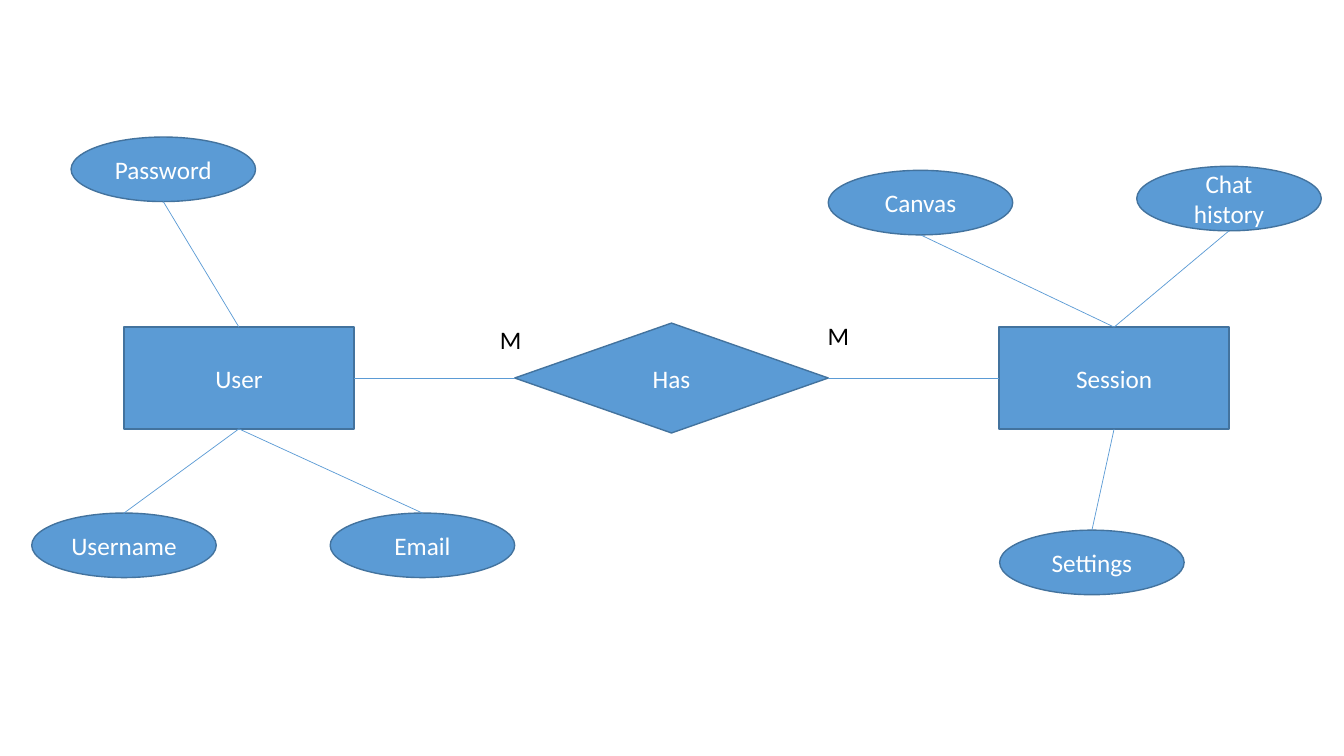
import pptx
import pptx.util
import pptx.dml.color
import pptx.enum.shapes
import pptx.enum.text
import pptx.oxml

Inches, Pt = pptx.util.Inches, pptx.util.Pt
SHAPE = pptx.enum.shapes.MSO_SHAPE
ALIGN = pptx.enum.text.PP_ALIGN
COLORS = {"fill": "5B9BD5", "outline": "43739E", "light": "FFFFFF", "dark": "000000"}
FONT = "Calibri"

# Kinds of node: preset shape, width, height in inches
KINDS = {
    "entity": (SHAPE.RECTANGLE, 2.28, 1.01),
    "relationship": (SHAPE.DIAMOND, 3.11, 1.09),
    "attribute": (SHAPE.OVAL, 1.83, 0.64),
}
AXIS = 3.75  # height of the entity row

# Label: kind, centre x, centre y
NODES = {
    "User": ("entity", 2.37, AXIS),
    "Session": ("entity", 11.05, AXIS),
    "Has": ("relationship", 6.66, AXIS),
    "Username": ("attribute", 1.23, 5.41),
    "Password": ("attribute", 1.62, 1.68),
    "Email": ("attribute", 4.19, 5.41),
    "Canvas": ("attribute", 9.13, 2.01),
    "Chat history": ("attribute", 12.19, 1.97),
    "Settings": ("attribute", 10.83, 5.58),
}
RELATIONS = [("User", "Has"), ("Has", "Session")]
ATTRIBUTES = {
    "User": ["Password", "Username", "Email"],
    "Session": ["Settings", "Canvas", "Chat history"],
}
# Text, left, top, width, wrap
CARDINALITIES = [("M", 4.86, 3.17, 0.46, True), ("M", 8.11, 3.13, 0.42, False)]

deck = pptx.Presentation()
deck.slide_width, deck.slide_height = Inches(13.33), Inches(7.5)
slide = deck.slides.add_slide(deck.slide_layouts[6])


def rgb(name):
    return pptx.dml.color.RGBColor.from_string(COLORS[name])


def write(frame, text, color, align):
    frame.text = text
    label = frame.paragraphs[0]
    label.alignment = align
    label.font.name, label.font.size = FONT, Pt(18)
    label.font.color.rgb = rgb(color)


def side(name, dx, dy):
    """Middle of a node's side, in the direction dx, dy."""
    kind, x, y = NODES[name]
    _, width, height = KINDS[kind]
    return Inches(x + dx * width / 2), Inches(y + dy * height / 2)


def link(start, end):
    line = slide.shapes.add_connector(
        pptx.enum.shapes.MSO_CONNECTOR.STRAIGHT, *start, *end)
    line.line.color.rgb = rgb("fill")
    line.line.width = Pt(0.5)
    line._element.spPr.append(pptx.oxml.parse_xml(
        '<a:effectLst xmlns:a="http://schemas.openxmlformats.org/drawingml/2006/main"/>'))


# Entities, relationship and attributes
for name, (kind, x, y) in NODES.items():
    preset, width, height = KINDS[kind]
    node = slide.shapes.add_shape(
        preset, *side(name, -1, -1), Inches(width), Inches(height))
    node.shadow.inherit = False
    node.fill.solid()
    node.fill.fore_color.rgb = rgb("fill")
    node.line.color.rgb = rgb("outline")
    node.line.width = Pt(1)
    node.text_frame.vertical_anchor = pptx.enum.text.MSO_ANCHOR.MIDDLE
    write(node.text_frame, name, "light", ALIGN.CENTER)

# Relationship lines run from right side to left side
for left, right in RELATIONS:
    link(side(left, 1, 0), side(right, -1, 0))

# Attribute lines run from the entity's nearest edge
for entity, attributes in ATTRIBUTES.items():
    for attribute in attributes:
        down = 1 if NODES[attribute][2] > AXIS else -1
        link(side(entity, 0, down), side(attribute, 0, -down))

# Cardinalities
for text, left, top, width, wrap in CARDINALITIES:
    cardinality = slide.shapes.add_textbox(
        Inches(left), Inches(top), Inches(width), Inches(0.4))
    frame = cardinality.text_frame
    frame.word_wrap = wrap
    frame.auto_size = pptx.enum.text.MSO_AUTO_SIZE.SHAPE_TO_FIT_TEXT
    write(frame, text, "dark", ALIGN.LEFT)

deck.save("out.pptx")
